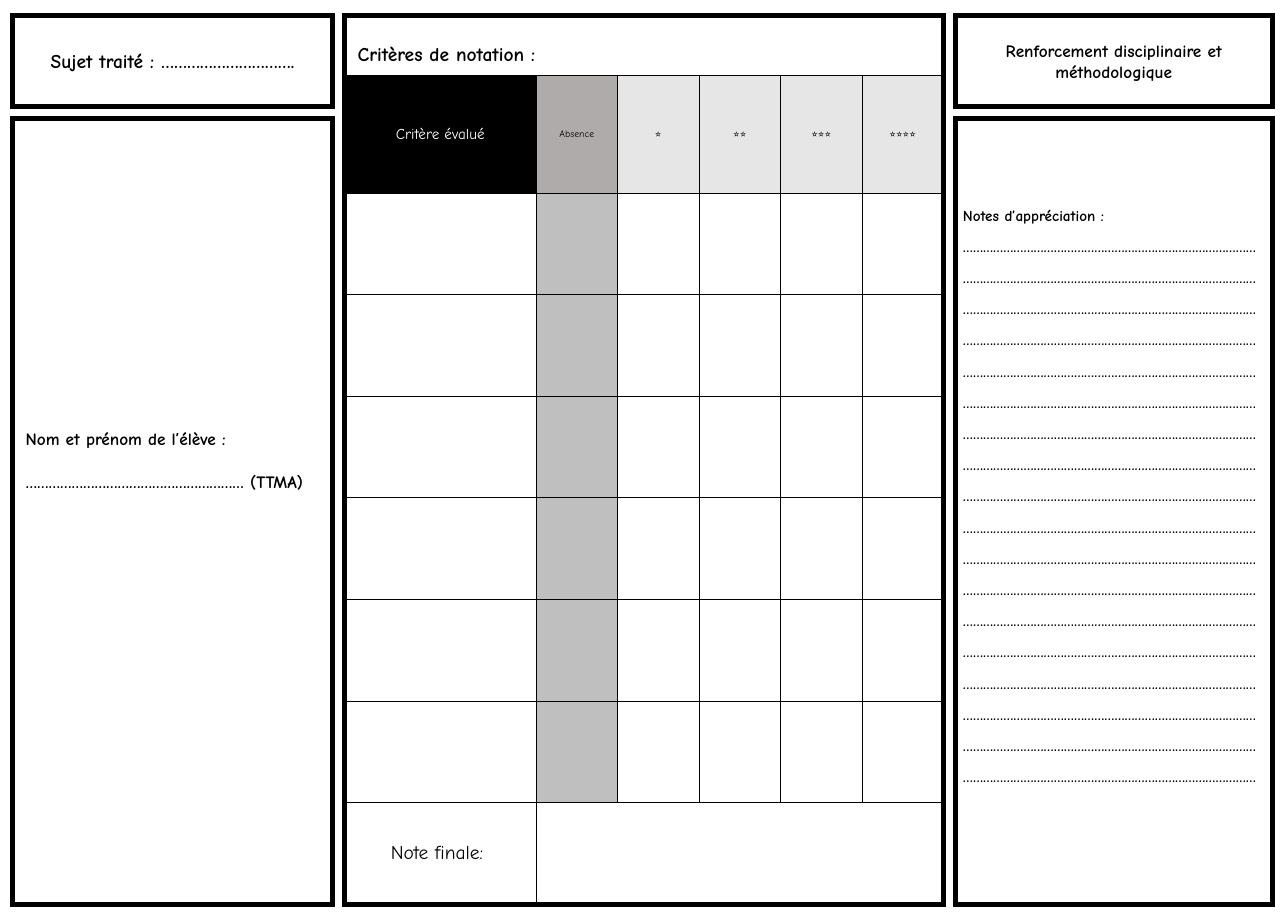
from dataclasses import dataclass

from lxml import etree
from pptx import Presentation
from pptx import util as u
from pptx.dml.color import RGBColor
from pptx.enum import text as t
from pptx.enum.shapes import MSO_SHAPE
from pptx.oxml.ns import qn

FONT = "Comic Neue"
BLACK = RGBColor(0x00, 0x00, 0x00)
WHITE = RGBColor(0xFF, 0xFF, 0xFF)
WARM_GREY = RGBColor(0xAF, 0xAB, 0xAB)
MID_GREY = RGBColor(0xBF, 0xBF, 0xBF)
PALE_GREY = RGBColor(0xE7, 0xE6, 0xE6)

# Page grid, in inches
LEFT_X, CENTRE_X, RIGHT_X = 0.16, 4.42, 12.26
LEFT_W, CENTRE_W, RIGHT_W = 4.11, 7.69, 4.07
TOP_Y, TOP_H = 0.2, 1.17
BODY_Y, BODY_H = 1.52, 10.09
TABLE_Y, TABLE_H = 0.97, 10.64

NOTE_LINES = 18
NOTE_DOTS = "…" * 29
NAME_DOTS = "…" * 19


@dataclass
class Panel:
    """A framed area; spacing is in points, everything else in inches."""
    left: float
    top: float
    width: float
    height: float
    lines: list[str]
    size: int
    align: t.PP_ALIGN = t.PP_ALIGN.LEFT
    anchor: t.MSO_ANCHOR = t.MSO_ANCHOR.MIDDLE
    inset_left: float = 0.1
    inset_top: float = 0.05
    inset_bottom: float = 0.05
    before: float = 0
    after: float = 0
    filled: bool = True


@dataclass
class Heading:
    label: str
    size: int
    colour: RGBColor
    fill: RGBColor


SUBJECT = Panel(LEFT_X, TOP_Y, LEFT_W, TOP_H,
                ["Sujet traité : …………………………."], 18, t.PP_ALIGN.CENTER)
STUDENT = Panel(LEFT_X, BODY_Y, LEFT_W, BODY_H,
                ["Nom et prénom de l’élève :", NAME_DOTS + " (TTMA)"], 16,
                inset_left=0.17, inset_bottom=1.37, before=20)
APPRECIATION = Panel(RIGHT_X, BODY_Y, RIGHT_W, BODY_H,
                     ["Notes d’appréciation :"] + [NOTE_DOTS] * NOTE_LINES, 14,
                     inset_bottom=0.45, before=6, after=6)
REINFORCEMENT = Panel(RIGHT_X, TOP_Y, RIGHT_W, TOP_H,
                      ["Renforcement disciplinaire et méthodologique"], 16,
                      t.PP_ALIGN.CENTER)
CRITERIA = Panel(CENTRE_X, TOP_Y, CENTRE_W, 11.41, ["Critères de notation :"], 18,
                 anchor=t.MSO_ANCHOR.TOP, inset_left=0.17, inset_top=0.34,
                 filled=False)

HEADINGS = [
    Heading("Critère évalué", 14, WHITE, BLACK),
    Heading("Absence", 9, BLACK, WARM_GREY),
    *(Heading("⭐" * stars, 9, BLACK, PALE_GREY) for stars in range(1, 5)),
]
FIRST_COLUMN, HEADING_ROW = 2.46, 1.51
ROWS = 8


def add_run(paragraph, words: str, size: int, colour: RGBColor, bold: bool) -> None:
    run = paragraph.add_run()
    run.text = words
    run.font.name = FONT
    run.font.size = u.Pt(size)
    run.font.bold = bold
    run.font.color.rgb = colour


def format_panel(shape, panel: Panel) -> None:
    shape.left, shape.top = u.Inches(panel.left), u.Inches(panel.top)
    shape.width, shape.height = u.Inches(panel.width), u.Inches(panel.height)
    if panel.filled:
        shape.fill.solid()
        shape.fill.fore_color.rgb = WHITE
    else:
        shape.fill.background()
    shape.line.color.rgb = BLACK
    shape.line.width = u.Pt(4.5)
    # Square corners
    outline = shape.element.spPr.find(qn("a:ln"))
    etree.SubElement(outline, qn("a:miter"), lim="800000")

    frame = shape.text_frame
    frame.word_wrap = True
    frame.auto_size = t.MSO_AUTO_SIZE.NONE
    frame.vertical_anchor = panel.anchor
    frame.margin_left = u.Inches(panel.inset_left)
    frame.margin_top = u.Inches(panel.inset_top)
    frame.margin_bottom = u.Inches(panel.inset_bottom)
    for index, line in enumerate(panel.lines):
        paragraph = frame.add_paragraph() if index else frame.paragraphs[0]
        paragraph.alignment = panel.align
        paragraph.space_before = u.Pt(panel.before if index else 0)
        paragraph.space_after = u.Pt(panel.after)
        add_run(paragraph, line, panel.size, BLACK, bold=True)


def add_panel(slide, panel: Panel) -> None:
    shape = slide.shapes.add_shape(MSO_SHAPE.RECTANGLE, 0, 0, 0, 0)
    shape.shadow.inherit = False
    format_panel(shape, panel)


def format_cell(cell, fill: RGBColor) -> None:
    # Borders come before the fill in the cell properties
    properties = cell._tc.get_or_add_tcPr()
    for side in ("lnL", "lnR", "lnT", "lnB"):
        border = etree.SubElement(properties, qn(f"a:{side}"), w=str(u.Pt(1)))
        solid = etree.SubElement(border, qn("a:solidFill"))
        etree.SubElement(solid, qn("a:srgbClr"), val=str(BLACK))
    cell.fill.solid()
    cell.fill.fore_color.rgb = fill
    cell.vertical_anchor = t.MSO_ANCHOR.MIDDLE


def write_cell(cell, words: str, size: int, colour: RGBColor) -> None:
    paragraph = cell.text_frame.paragraphs[0]
    paragraph.alignment = t.PP_ALIGN.CENTER
    add_run(paragraph, words, size, colour, bold=False)


def add_grading_table(slide) -> None:
    columns = len(HEADINGS)
    table = slide.shapes.add_table(
        ROWS, columns, u.Inches(CENTRE_X), u.Inches(TABLE_Y),
        u.Inches(CENTRE_W), u.Inches(TABLE_H)).table
    table.first_row = table.horz_banding = False

    level_width = (CENTRE_W - FIRST_COLUMN) / (columns - 1)
    for index, column in enumerate(table.columns):
        column.width = u.Inches(level_width if index else FIRST_COLUMN)
    row_height = (TABLE_H - HEADING_ROW) / (ROWS - 1)
    for index, row in enumerate(table.rows):
        row.height = u.Inches(row_height if index else HEADING_ROW)

    last = ROWS - 1
    for c, heading in enumerate(HEADINGS):
        format_cell(table.cell(0, c), heading.fill)
        write_cell(table.cell(0, c), heading.label, heading.size, heading.colour)
        for r in range(1, ROWS):
            is_absence = c == 1 and r < last
            format_cell(table.cell(r, c), MID_GREY if is_absence else WHITE)

    # Final mark
    write_cell(table.cell(last, 0), "Note finale: ", 18, BLACK)
    table.cell(last, 1).merge(table.cell(last, columns - 1))


def main() -> None:
    deck = Presentation()
    deck.slide_width, deck.slide_height = u.Inches(16.53), u.Inches(11.81)
    slide = deck.slides.add_slide(deck.slide_layouts[5])

    # Subject and student, on the left
    format_panel(slide.shapes.title, SUBJECT)
    add_panel(slide, STUDENT)

    # Grading table and its frame, in the centre
    add_grading_table(slide)
    add_panel(slide, CRITERIA)

    # Reinforcement and appreciation, on the right
    add_panel(slide, REINFORCEMENT)
    add_panel(slide, APPRECIATION)

    deck.save("out.pptx")


if __name__ == "__main__":
    main()
